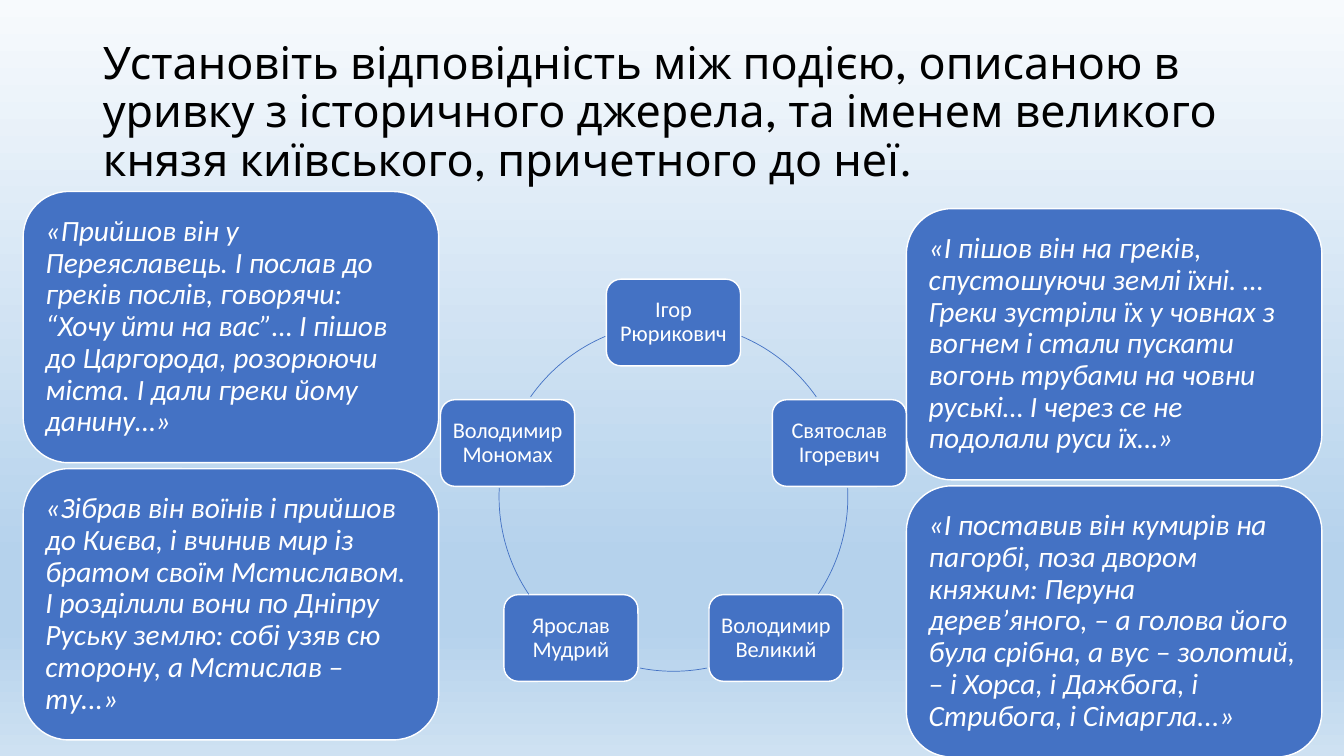
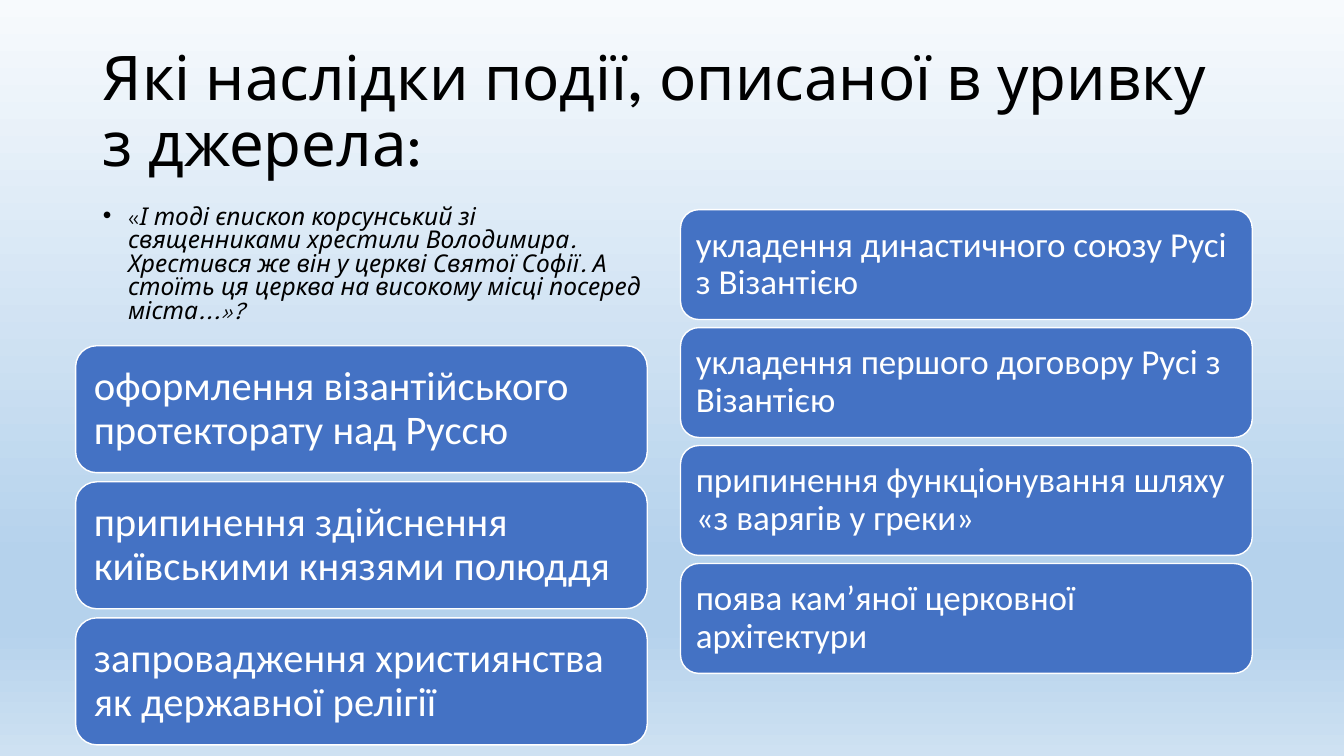
import math

import pptx
import pptx.dml.color
import pptx.enum.lang
import pptx.enum.shapes
import pptx.enum.text
import pptx.oxml
import pptx.oxml.ns
import pptx.util

RGBColor = pptx.dml.color.RGBColor
SHAPE = pptx.enum.shapes.MSO_SHAPE
ALIGN = pptx.enum.text.PP_ALIGN
ANCHOR = pptx.enum.text.MSO_ANCHOR

PX = 9144  # one px is a hundredth of an inch
BLACK = RGBColor(0x00, 0x00, 0x00)
WHITE = RGBColor(0xFF, 0xFF, 0xFF)
BLUE = RGBColor(0x44, 0x72, 0xC4)
SKY = [(0, RGBColor(0xF7, 0xFA, 0xFD)), (74, RGBColor(0xB5, 0xD2, 0xEC)),
       (83, RGBColor(0xB5, 0xD2, 0xEC)), (100, RGBColor(0xCE, 0xE1, 0xF2))]
TITLE_FONT = "League Spartan"
CARD_FONT = "Calibri"


def put_text(sp, text, *, size, font=CARD_FONT, color=WHITE, italic=False,
             align=ALIGN.LEFT, anchor=ANCHOR.MIDDLE, spacing=0.9, lead=""):
    """Fill a shape with one paragraph; lead is an upright opening run."""
    tf = sp.text_frame
    tf.word_wrap = True
    tf.auto_size = pptx.enum.text.MSO_AUTO_SIZE.NONE
    tf.vertical_anchor = anchor
    p = tf.paragraphs[0]
    p.alignment = align
    p.line_spacing = spacing
    p.space_before = pptx.util.Pt(0)
    for part, slanted in ((lead, False), (text, italic)):
        if part:
            r = p.add_run()
            r.text = part
            r.font.name = font
            r.font.size = pptx.util.Pt(size)
            r.font.italic = slanted
            r.font.color.rgb = color
            r.font.language_id = pptx.enum.lang.MSO_LANGUAGE_ID.UKRAINIAN
    return p


def add_card(s, x, y, w, h, text, inset, **fmt):
    """Blue rounded card with a thin white outline."""
    sp = s.shapes.add_shape(SHAPE.ROUNDED_RECTANGLE,
                            *(round(v * PX) for v in (x, y, w, h)))
    sp.shadow.inherit = False
    sp.fill.solid()
    sp.fill.fore_color.rgb = BLUE
    sp.line.color.rgb = WHITE
    sp.line.width = pptx.util.Pt(1)
    tf = sp.text_frame
    tf.margin_left = tf.margin_right = inset * PX
    tf.margin_top = tf.margin_bottom = inset * PX
    put_text(sp, text, **fmt)


prs = pptx.Presentation()
prs.slide_width, prs.slide_height = 1333 * PX, 750 * PX

# Shared background gradient on the master
fill = prs.slide_master.background.fill
fill.gradient()
fill.gradient_angle = 270
stops = next(prs.slide_master.element.iter(pptx.oxml.ns.qn("a:gsLst")))
for stop in list(stops):
    stops.remove(stop)
for pos, color in SKY:
    stops.append(pptx.oxml.parse_xml(
        f'<a:gs {pptx.oxml.ns.nsdecls("a")} pos="{pos * 1000}">'
        f'<a:srgbClr val="{color}"/></a:gs>'))

# Slides with their titles
slides = []
for layout, size, title in [
    (5, 32, "Установіть відповідність між подією, описаною в уривку з історичного "
            "джерела, та іменем великого князя київського, причетного до неї."),
    (1, 44, "Які наслідки події, описаної в уривку з джерела:"),
]:
    s = prs.slides.add_slide(prs.slide_layouts[layout])
    sp = s.shapes.title
    sp.left, sp.top, sp.width, sp.height = 92 * PX, 40 * PX, 1150 * PX, 145 * PX
    put_text(sp, title, size=size, font=TITLE_FONT, color=BLACK)
    slides.append(s)
matching, effects = slides

# Slide 1: source quotes in two columns
for x, top, quotes in [
    (23, 190, [
        "«Прийшов він у Переяславець. І послав до греків послів, говорячи: “Хочу йти "
        "на вас”… І пішов до Царгорода, розорюючи міста. І дали греки йому данину…»",
        "«Зібрав він воїнів і прийшов до Києва, і вчинив мир із братом своїм "
        "Мстиславом. І розділили вони по Дніпру Руську землю: собі узяв сю сторону, "
        "а Мстислав – ту...»"]),
    (899, 207, [
        "«І пішов він на греків, спустошуючи землі їхні. … Греки зустріли їх у човнах "
        "з вогнем і стали пускати вогонь трубами на човни руські… І через се не "
        "подолали руси їх…»",
        "«І поставив він кумирів на пагорбі, поза двором княжим: Перуна дерев’яного, "
        "– а голова його була срібна, а вус – золотий, – і Хорса, і Дажбога, і "
        "Стрибога, і Сімаргла...»"]),
]:
    for i, quote in enumerate(quotes):
        add_card(matching, x, top + i * 275, 412, 269, quote, 9, size=21, italic=True)

# Slide 1: ring of princes, each followed by the arc (degrees) to the next one
CX, CY, RADIUS = 668, 493, 173
NODE_W, NODE_H = 133, 86
princes = [("Ігор Рюрикович", 293, 325), ("Святослав Ігоревич", 357, 34),
           ("Володимир Великий", 79, 101), ("Ярослав Мудрий", 146, 183),
           ("Володимир Мономах", 215, 247)]
for i, (prince, start, end) in enumerate(princes):
    angle = math.radians(360 / len(princes) * i - 90)
    add_card(matching, CX + RADIUS * math.cos(angle) - NODE_W / 2,
             CY + RADIUS * math.sin(angle) - NODE_H / 2, NODE_W, NODE_H,
             prince, 7, size=16, align=ALIGN.CENTER)
    arc = matching.shapes.add_shape(SHAPE.ARC, (CX - RADIUS) * PX, (CY - RADIUS) * PX,
                                    2 * RADIUS * PX, 2 * RADIUS * PX)
    arc.adjustments[0], arc.adjustments[1] = start * 0.6, end * 0.6
    arc.shadow.inherit = False
    arc.fill.background()
    arc.line.color.rgb = BLUE
    arc.line.width = pptx.util.Pt(0.5)

# Slide 2: quotation as a bulleted body
sp = effects.placeholders[1]
sp.left, sp.top, sp.width, sp.height = 92 * PX, 200 * PX, 567 * PX, 175 * PX
p = put_text(sp, "І тоді єпископ корсунський зі священниками хрестили Володимира. "
                 "Хрестився же він у церкві Святої Софії. А стоїть ця церква на "
                 "високому місці посеред міста...»?",
             lead="«", size=17.5, font=TITLE_FONT, color=BLACK, italic=True,
             anchor=ANCHOR.TOP, spacing=0.8)
pPr = p._p.get_or_add_pPr()
pPr.set("marL", str(25 * PX))
pPr.set("indent", str(-25 * PX))

# Slide 2: answer options in two columns
for x, top, pitch, h, inset, size, options in [
    (675, 208, 117, 109, 10, 25, [
        "укладення династичного союзу Русі з Візантією",
        "укладення першого договору Русі з Візантією",
        "припинення функціонування шляху «з варягів у греки»",
        "поява кам’яної церковної архітектури"]),
    (75, 343, 135, 126, 12, 29, [
        "оформлення візантійського протекторату над Руссю",
        "припинення здійснення київськими князями полюддя",
        "запровадження християнства як державної релігії"]),
]:
    for i, option in enumerate(options):
        add_card(effects, x, top + i * pitch, 567, h, option, inset, size=size)

prs.save("out.pptx")
